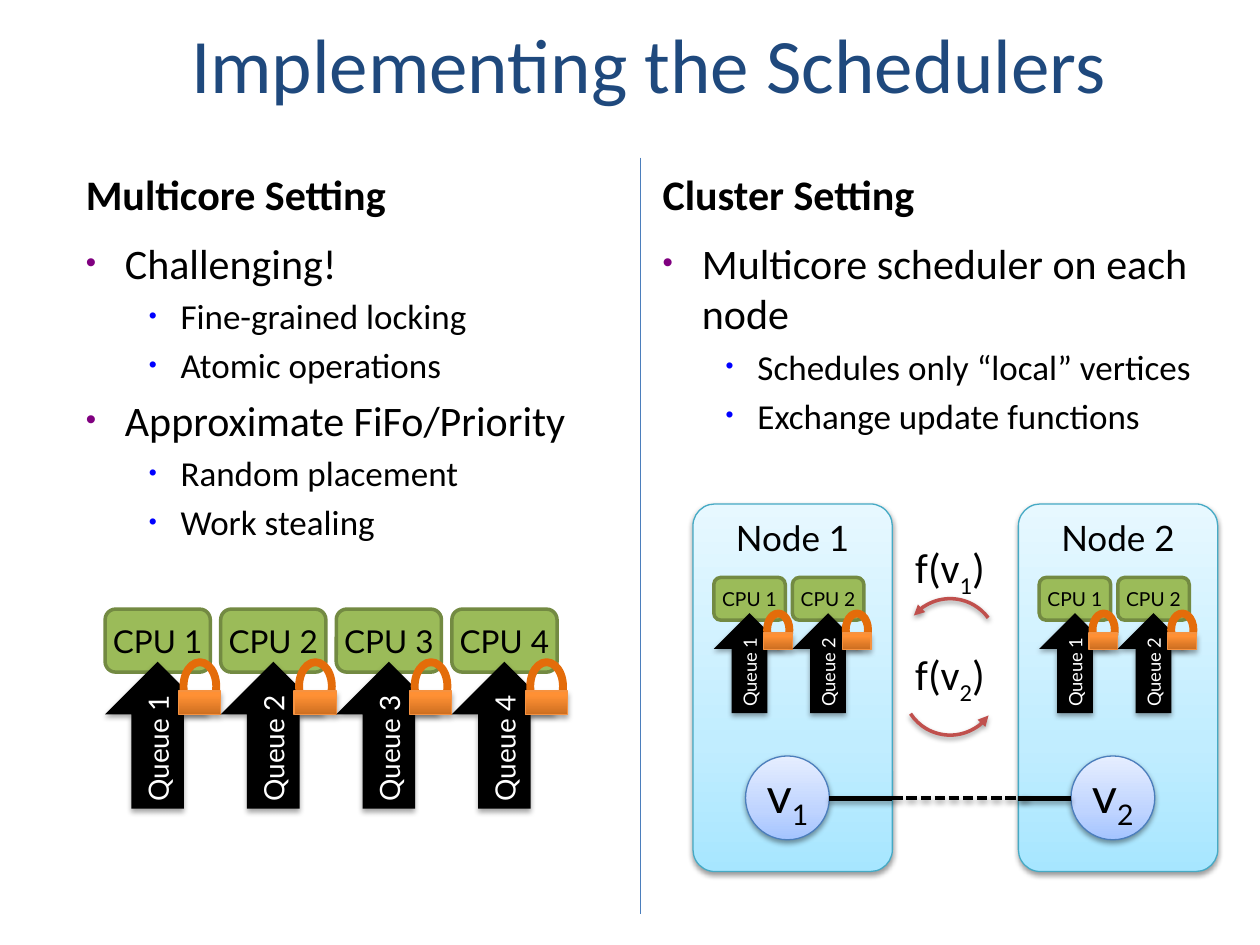
from lxml.etree import SubElement
from pptx import Presentation
from pptx.dml.color import RGBColor
from pptx.enum.dml import MSO_LINE_DASH_STYLE as Dash
from pptx.enum.shapes import MSO_CONNECTOR, MSO_SHAPE as Preset
from pptx.enum.text import MSO_ANCHOR as Anchor, MSO_AUTO_SIZE as AutoSize, PP_ALIGN as Align
from pptx.oxml.ns import qn
from pptx.util import Cm, Pt

BLACK = RGBColor(0x00, 0x00, 0x00)
WHITE = RGBColor(0xFF, 0xFF, 0xFF)
NAVY = RGBColor(0x1F, 0x49, 0x7D)
BLUE = RGBColor(0x4B, 0x7E, 0xBC)
GREEN = RGBColor(0x9B, 0xBB, 0x59)
DARK_GREEN = RGBColor(0x73, 0x8A, 0x42)
TEAL = RGBColor(0x46, 0xAA, 0xC5)
RED = RGBColor(0xC0, 0x50, 0x4D)
SHACKLE_ORANGE = RGBColor(0xE4, 0x6C, 0x0A)
BODY_ORANGE = RGBColor(0xF6, 0x92, 0x40)
BULLET_PURPLE = RGBColor(0x80, 0x00, 0x80)
BULLET_BLUE = RGBColor(0x00, 0x00, 0xFF)

ORANGE_FADE = [(0, RGBColor(0xCC, 0x6E, 0x20)), (80, RGBColor(0xFF, 0x90, 0x34)),
               (100, RGBColor(0xFF, 0x91, 0x36))]
SKY_FADE = [(0, RGBColor(0xA7, 0xE6, 0xFF)), (35, RGBColor(0xC1, 0xED, 0xFF)),
            (100, RGBColor(0xE7, 0xF8, 0xFF))]
VERTEX_FADE = [(0, RGBColor(0xA4, 0xC4, 0xFF)), (35, RGBColor(0xBF, 0xD4, 0xFF)),
               (100, RGBColor(0xE6, 0xEE, 0xFF))]

STRONG_SHADOW = (35, 1.8)
SOFT_SHADOW = (38, 1.6)
BULLET_LEVELS = [(24, 0.79, 0.79, BULLET_PURPLE, 70, 5), (20, 1.91, 0.64, BULLET_BLUE, 65, 4)]


class SchedulerSlide:
    text_font = "Calibri"
    diagram_font = "Lato"
    station_pitch = 2.33

    def __init__(self, deck):
        self.slide = deck.slides.add_slide(deck.slide_layouts[5])

    def format_font(self, font, size, color, name):
        font.name, font.size, font.color.rgb = name, Pt(size), color

    def set_shadow(self, properties, shadow):
        effects = properties.find(qn("a:effectLst"))
        if effects is None:
            effects = SubElement(properties, qn("a:effectLst"))
        if shadow:
            opacity, distance = shadow
            outer = SubElement(effects, qn("a:outerShdw"), blurRad=str(Pt(3.1)),
                               dist=str(Pt(distance)), dir="5400000", rotWithShape="0")
            color = SubElement(outer, qn("a:srgbClr"), val=str(BLACK))
            SubElement(color, qn("a:alpha"), val=str(opacity * 1000))

    def fade(self, shape, stops):
        shape.fill.gradient()
        shape.fill.gradient_angle = 90
        stop_list = shape._element.spPr.find(".//" + qn("a:gsLst"))
        stop_list.clear()
        for position, color in stops:
            stop = SubElement(stop_list, qn("a:gs"), pos=str(position * 1000))
            SubElement(stop, qn("a:srgbClr"), val=str(color))

    def shape(self, preset, box, fill=None, line=None, width=0.75, shadow=None):
        shape = self.slide.shapes.add_shape(preset, *map(Cm, box))
        if fill is None:
            shape.fill.background()
        elif isinstance(fill, RGBColor):
            shape.fill.solid()
            shape.fill.fore_color.rgb = fill
        else:
            self.fade(shape, fill)
        if line is None:
            shape.line.fill.background()
        else:
            shape.line.color.rgb = line
            shape.line.width = Pt(width)
        shape.shadow.inherit = False
        self.set_shadow(shape._element.spPr, shadow)
        return shape

    def label(self, shape, text, size, color=BLACK, anchor=Anchor.MIDDLE, subscript=None):
        frame = shape.text_frame
        frame.word_wrap = False
        frame.vertical_anchor = anchor
        paragraph = frame.paragraphs[0]
        paragraph.alignment = Align.CENTER
        self.add_runs(paragraph, text, subscript)
        self.format_font(paragraph.font, size, color, self.diagram_font)

    def add_runs(self, paragraph, text, subscript=None, ending=None):
        paragraph.add_run().text = text
        if subscript:
            lowered = paragraph.add_run()
            lowered.text = subscript
            lowered._r.get_or_add_rPr().set("baseline", "-25000")
        if ending:
            paragraph.add_run().text = ending

    def line(self, x1, y1, x2, y2, color, width, dash=None, shadow=None):
        line = self.slide.shapes.add_connector(
            MSO_CONNECTOR.STRAIGHT, Cm(x1), Cm(y1), Cm(x2), Cm(y2))
        line.line.color.rgb = color
        line.line.width = Pt(width)
        if dash:
            line.line.dash_style = dash
        self.set_shadow(line._element.spPr, shadow)

    def title(self, text):
        title = self.slide.shapes.title
        title.left, title.top, title.width, title.height = map(Cm, (3.6, 0.21, 20.53, 2.12))
        frame = title.text_frame
        frame.text = text
        frame.auto_size = AutoSize.NONE
        frame.vertical_anchor = Anchor.BOTTOM
        frame.paragraphs[0].alignment = Align.LEFT
        self.format_font(frame.paragraphs[0].font, 44, NAVY, self.text_font)

    def text_box(self, box, wrap=True):
        frame = self.slide.shapes.add_textbox(*map(Cm, box)).text_frame
        frame.word_wrap = wrap
        return frame

    def heading(self, x, text):
        frame = self.text_box((x, 2.75, 11.22, 1.78))
        frame.vertical_anchor = Anchor.BOTTOM
        frame.text = text
        self.format_font(frame.paragraphs[0].font, 24, BLACK, self.text_font)
        frame.paragraphs[0].font.bold = True

    def bullets(self, x, height, items):
        frame = self.text_box((x, 4.66, 11.22, height))
        for index, (level, text) in enumerate(items):
            size, margin, hanging, color, percent, space = BULLET_LEVELS[level]
            paragraph = frame.add_paragraph() if index else frame.paragraphs[0]
            paragraph.text = text
            paragraph.level = level
            properties = paragraph._p.get_or_add_pPr()
            properties.set("marL", str(Cm(margin)))
            properties.set("indent", str(-Cm(hanging)))
            if index:
                paragraph.space_before = Pt(space)
            bullet_color = SubElement(properties, qn("a:buClr"))
            SubElement(bullet_color, qn("a:srgbClr"), val=str(color))
            SubElement(properties, qn("a:buSzPct"), val=str(percent * 1000))
            SubElement(properties, qn("a:buFont"), typeface="Arial")
            SubElement(properties, qn("a:buChar"), char="•")
            self.format_font(paragraph.font, size, BLACK, self.text_font)

    def stations(self, left, top, count, scale, cpu_size, queue_size):
        for index in range(count):
            x = left + index * self.station_pitch * scale

            def place(dx, dy, width, height):
                return x + dx * scale, top + dy * scale, width * scale, height * scale

            cpu = self.shape(Preset.ROUNDED_RECTANGLE, place(0, 0, 2.12, 1.27),
                             GREEN, DARK_GREEN, 2)
            self.label(cpu, f"CPU {index + 1}", cpu_size)
            queue = self.shape(Preset.RIGHT_ARROW, place(-0.42, 1.48, 2.96, 2.12),
                               BLACK, shadow=STRONG_SHADOW)
            queue.rotation = 270
            self.label(queue, f"Queue {index + 1}", queue_size, WHITE)
            self.shape(Preset.OVAL, place(1.58, 1.07, 0.66, 0.97), None, SHACKLE_ORANGE, 4.5)
            self.shape(Preset.RECTANGLE, place(1.48, 1.65, 0.85, 0.48),
                       ORANGE_FADE, BODY_ORANGE, shadow=STRONG_SHADOW)

    def node(self, x, number):
        node = self.shape(Preset.ROUNDED_RECTANGLE, (x, 10.16, 4.02, 7.41),
                          SKY_FADE, TEAL, shadow=SOFT_SHADOW)
        node.adjustments[0] = 0.11
        self.label(node, f"Node {number}", 20, anchor=Anchor.TOP)
        self.stations(x + 0.42, 11.64, 2, 0.68, 11, 10.5)
        vertex = self.shape(Preset.OVAL, (x + 1.06, 15.24, 1.69, 1.69),
                            VERTEX_FADE, BLUE, shadow=SOFT_SHADOW)
        self.label(vertex, "v", 28, subscript=str(number))

    def exchange(self, number, text_top, arc_top, start, end):
        paragraph = self.text_box((18.2, text_top, 1.96, 1.27), wrap=False).paragraphs[0]
        self.add_runs(paragraph, "f(v", str(number), ")")
        self.format_font(paragraph.font, 24, BLACK, self.text_font)
        arc = self.shape(Preset.ARC, (18.2, arc_top, 1.91, 1.91), None, RED, 2, SOFT_SHADOW)
        arc.adjustments[0], arc.adjustments[1] = start, end
        outline = arc._element.spPr.find(qn("a:ln"))
        SubElement(outline, qn("a:headEnd"), type="triangle")


def main():
    deck = Presentation()
    deck.slide_width, deck.slide_height = Cm(25.4), Cm(19.05)
    page = SchedulerSlide(deck)
    page.title("Implementing the Schedulers")
    page.heading(1.48, "Multicore Setting")
    page.bullets(1.48, 6.56, [
        (0, "Challenging!"), (1, "Fine-grained locking"), (1, "Atomic operations"),
        (0, "Approximate FiFo/Priority"), (1, "Random placement"), (1, "Work stealing")])
    page.heading(13.11, "Cluster Setting")
    page.bullets(13.11, 5.29, [
        (0, "Multicore scheduler on each node"),
        (1, "Schedules only “local” vertices"), (1, "Exchange update functions")])
    page.line(12.91, 3.18, 12.91, 18.42, BLUE, 0.75)
    page.stations(2.12, 12.28, 4, 1, 18, 16)
    page.node(13.97, 1)
    page.node(20.53, 2)
    edge_y = 16.09
    page.line(16.72, edge_y, 17.99, edge_y, BLACK, 3, shadow=STRONG_SHADOW)
    page.line(20.53, edge_y, 21.59, edge_y, BLACK, 3, shadow=STRONG_SHADOW)
    page.line(17.99, edge_y, 20.75, edge_y, BLACK, 2, Dash.SQUARE_DOT, SOFT_SHADOW)
    page.exchange(1, 10.8, 12.07, 132.06, 194.03)
    page.exchange(2, 12.95, 12.91, 21.51, 88.05)
    deck.save("out.pptx")


if __name__ == "__main__":
    main()
